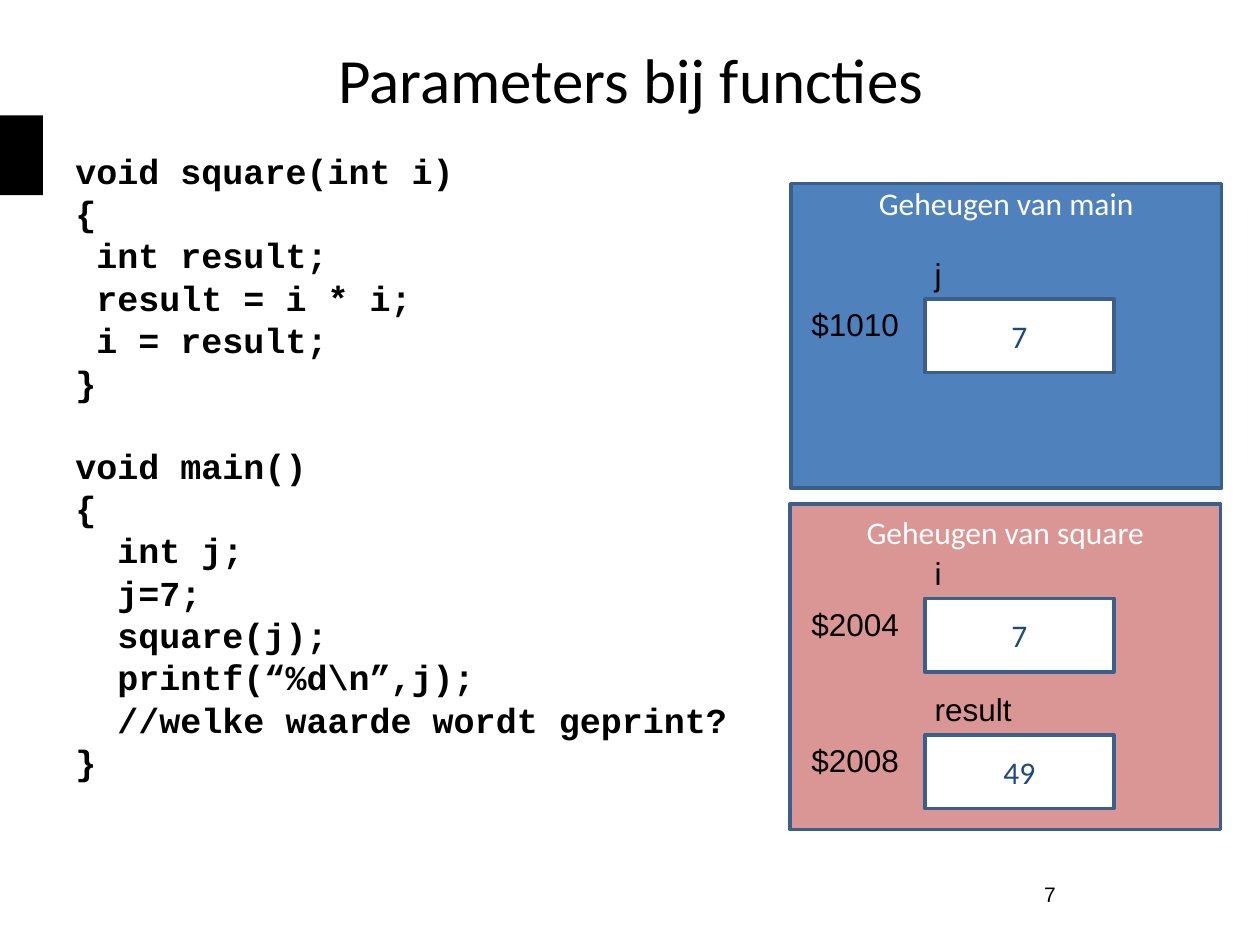
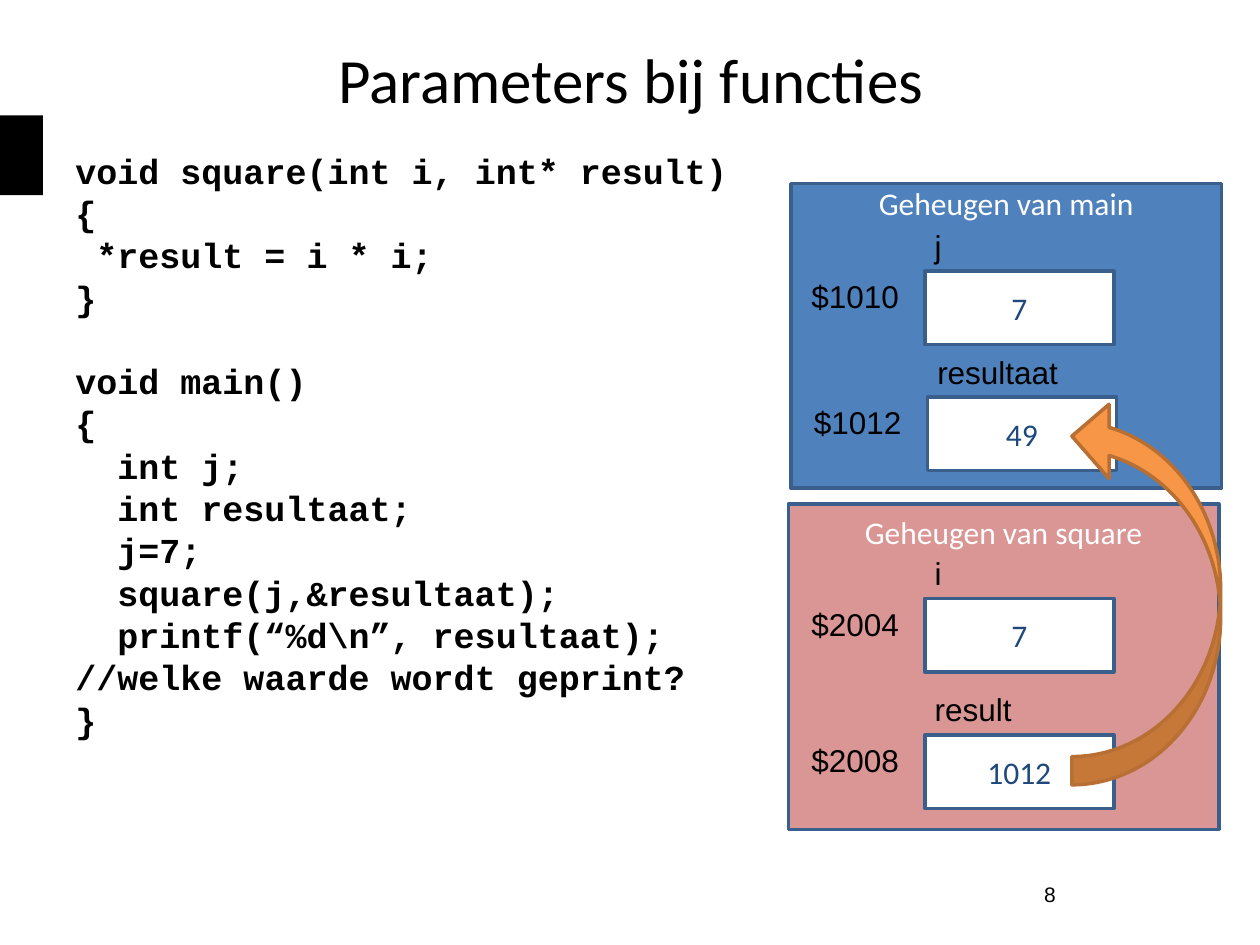
"""Two slides on passing parameters to functions, with memory diagrams."""
from dataclasses import dataclass

from pptx import Presentation
from pptx.dml.color import RGBColor
from pptx.enum import shapes, text
from pptx.util import Pt


@dataclass(frozen=True)
class Theme:
    """Colours, fonts and type sizes of the deck."""
    black: str = "000000"
    white: str = "FFFFFF"
    main: str = "4F81BD"
    square: str = "D99694"
    outline: str = "3A5F8C"
    value: str = "1F497D"
    arrow: str = "F79646"
    arrow_outline: str = "B76F34"
    heading_font: str = "Calibri"
    label_font: str = "Arial"
    code_font: str = "Courier New"
    title_size: float = 36
    code_size: float = 20
    diagram_size: float = 18
    number_size: float = 12
    line: float = 2


THEME = Theme()
CELL_WIDTH, CELL_HEIGHT = 108, 42
CODE_CHAR = 12        # advance of one code character
CODE_GAP = 5          # space before each code line
FUNCTION_GAP = 28.2   # space before a following function


@dataclass(frozen=True)
class Box:
    """A rectangle in points."""
    left: float
    top: float
    width: float
    height: float

    def lengths(self):
        """Return the four lengths for a python-pptx add call."""
        return Pt(self.left), Pt(self.top), Pt(self.width), Pt(self.height)


@dataclass(frozen=True)
class Variable:
    """A memory cell with its name, address and value."""
    name: str
    name_width: float
    address: str
    value: str
    top: float
    left: float = 528.5


@dataclass(frozen=True)
class Memory:
    """The memory panel of one function."""
    heading: str
    box: Box
    fill: str
    heading_inset: float
    variables: tuple[Variable, ...]


@dataclass(frozen=True)
class Lesson:
    """Content of one slide; code holds one string per function."""
    number: int
    code_width: float
    code: tuple[str, ...]
    memories: tuple[Memory, ...]
    pointer: Box | None = None


def style(paragraph, font: str, size: float, color: str, bold=False, align=None) -> None:
    """Format a whole paragraph."""
    paragraph.font.name = font
    paragraph.font.size = Pt(size)
    paragraph.font.bold = bold
    paragraph.font.color.rgb = RGBColor.from_string(color)
    paragraph.alignment = align


def add_shape(slide, kind, box: Box, fill: str, outline: str | None = None):
    """Add a flat preset shape."""
    shape = slide.shapes.add_shape(kind, *box.lengths())
    shape.shadow.inherit = False
    shape.fill.solid()
    shape.fill.fore_color.rgb = RGBColor.from_string(fill)
    if outline:
        shape.line.color.rgb = RGBColor.from_string(outline)
        shape.line.width = Pt(THEME.line)
    else:
        shape.line.fill.background()
    return shape


def add_label(slide, wording: str, box: Box) -> None:
    """Add a single-line label that fits its text."""
    frame = slide.shapes.add_textbox(*box.lengths()).text_frame
    frame.word_wrap = False
    frame.auto_size = text.MSO_AUTO_SIZE.SHAPE_TO_FIT_TEXT
    frame.text = wording
    style(frame.paragraphs[0], THEME.label_font, THEME.diagram_size, THEME.black)


def add_variable(slide, variable: Variable) -> None:
    """Draw a memory cell with its address to the left and name above."""
    left, top = variable.left, variable.top
    cell = add_shape(slide, shapes.MSO_SHAPE.RECTANGLE,
                     Box(left, top, CELL_WIDTH, CELL_HEIGHT), THEME.white, THEME.outline)
    frame = cell.text_frame
    frame.text = variable.value
    frame.vertical_anchor = text.MSO_ANCHOR.MIDDLE
    style(frame.paragraphs[0], THEME.heading_font, THEME.diagram_size, THEME.value,
          align=text.PP_ALIGN.CENTER)
    add_label(slide, variable.address, Box(left - 72, top, 65, 29))
    add_label(slide, variable.name, Box(left - 1.5, top - 29, variable.name_width, 29))


def add_memory(slide, memory: Memory) -> None:
    """Draw a memory panel and its variables."""
    panel = add_shape(slide, shapes.MSO_SHAPE.RECTANGLE, memory.box, memory.fill, THEME.outline)
    frame = panel.text_frame
    frame.text = memory.heading
    frame.vertical_anchor = text.MSO_ANCHOR.TOP
    frame.margin_top = Pt(memory.heading_inset)
    style(frame.paragraphs[0], THEME.heading_font, THEME.diagram_size, THEME.white,
          align=text.PP_ALIGN.CENTER)
    for variable in memory.variables:
        add_variable(slide, variable)


def add_code(slide, functions: tuple[str, ...], width: float) -> None:
    """Write the functions line by line, turning leading spaces into indents."""
    frame = slide.shapes.add_textbox(*Box(36, 86.4, width, 232).lengths()).text_frame
    frame.word_wrap = True
    paragraph = None
    for function in functions:
        for row, line in enumerate(function.split("\n")):
            gap = FUNCTION_GAP if paragraph is not None and row == 0 else CODE_GAP
            paragraph = frame.paragraphs[0] if paragraph is None else frame.add_paragraph()
            statement = line.lstrip()
            paragraph.text = statement
            paragraph.line_spacing = 0.8
            paragraph.space_before = Pt(gap)
            indent = (len(line) - len(statement)) * CODE_CHAR
            properties = paragraph._p.get_or_add_pPr()
            properties.set("marL", str(Pt(indent)))
            properties.set("indent", "0")
            style(paragraph, THEME.code_font, THEME.code_size, THEME.black, bold=True)


def add_frame(slide, number: int) -> None:
    """Add what all slides share: side tab, title and slide number."""
    add_shape(slide, shapes.MSO_SHAPE.RECTANGLE, Box(0, 66, 24.5, 45.5), THEME.black)
    title = slide.shapes.title
    title.left, title.top, title.width, title.height = Box(36.5, 0, 648, 90).lengths()
    footer = slide.shapes.add_textbox(*Box(516, 492, 168, 37.5).lengths())
    for shape, wording, font, size in (
            (title, "Parameters bij functies", THEME.heading_font, THEME.title_size),
            (footer, str(number), THEME.label_font, THEME.number_size)):
        frame = shape.text_frame
        frame.text = wording
        frame.word_wrap = True
        frame.auto_size = text.MSO_AUTO_SIZE.NONE
        frame.vertical_anchor = text.MSO_ANCHOR.MIDDLE
        style(frame.paragraphs[0], font, size, THEME.black, align=text.PP_ALIGN.CENTER)


def add_pointer(slide, box: Box) -> None:
    """Draw the curved arrow from a pointer up to its target."""
    arrow = add_shape(slide, shapes.MSO_SHAPE.CURVED_LEFT_ARROW, box,
                      THEME.arrow, THEME.arrow_outline)
    for index, ratio in enumerate((0.19, 0.5, 0.25)):
        arrow.adjustments[index] = ratio
    arrow.element.spPr.xfrm.set("flipV", "1")


def main_memory(*variables: Variable) -> Memory:
    """Return the panel of main."""
    return Memory("Geheugen van main", Box(452, 105, 246, 174), THEME.main, 0, variables)


def square_memory(left: float, result: str) -> Memory:
    """Return the panel of square with the given value of result."""
    return Memory("Geheugen van square", Box(left, 288, 246, 186), THEME.square, 5, (
        Variable("i", 19, "$2004", "7", 342),
        Variable("result", 59, "$2008", result, 420)))


LESSONS = (
    Lesson(7, 648, (
        "void square(int i)\n{\n int result;\n result = i * i;\n i = result;\n}",
        "void main()\n{\n  int j;\n  j=7;\n  square(j);\n  printf(“%d\\n”,j);\n"
        "  //welke waarde wordt geprint?\n}"),
        (main_memory(Variable("j", 19, "$1010", "7", 171)),
         square_memory(451.5, "49"))),
    Lesson(8, 396, (
        "void square(int i, int* result)\n{\n *result = i * i;\n}",
        "void main()\n{\n  int j;\n  int resultaat;\n  j=7;\n  square(j,&resultaat);\n"
        "  printf(“%d\\n”, resultaat);\n//welke waarde wordt geprint?\n}"),
        (main_memory(Variable("j", 19, "$1010", "7", 155),
                     Variable("resultaat", 84, "$1012", "49", 227, left=530)),
         square_memory(450.5, "1012")),
        pointer=Box(612.5, 228, 85, 220.5)),
)


def build() -> None:
    """Build and save the deck."""
    deck = Presentation()
    deck.slide_width, deck.slide_height = Pt(720), Pt(540)
    title_only = deck.slide_layouts[5]
    for lesson in LESSONS:
        slide = deck.slides.add_slide(title_only)
        add_frame(slide, lesson.number)
        add_code(slide, lesson.code, lesson.code_width)
        for memory in lesson.memories:
            add_memory(slide, memory)
        if lesson.pointer:
            add_pointer(slide, lesson.pointer)
    deck.save("out.pptx")


build()
